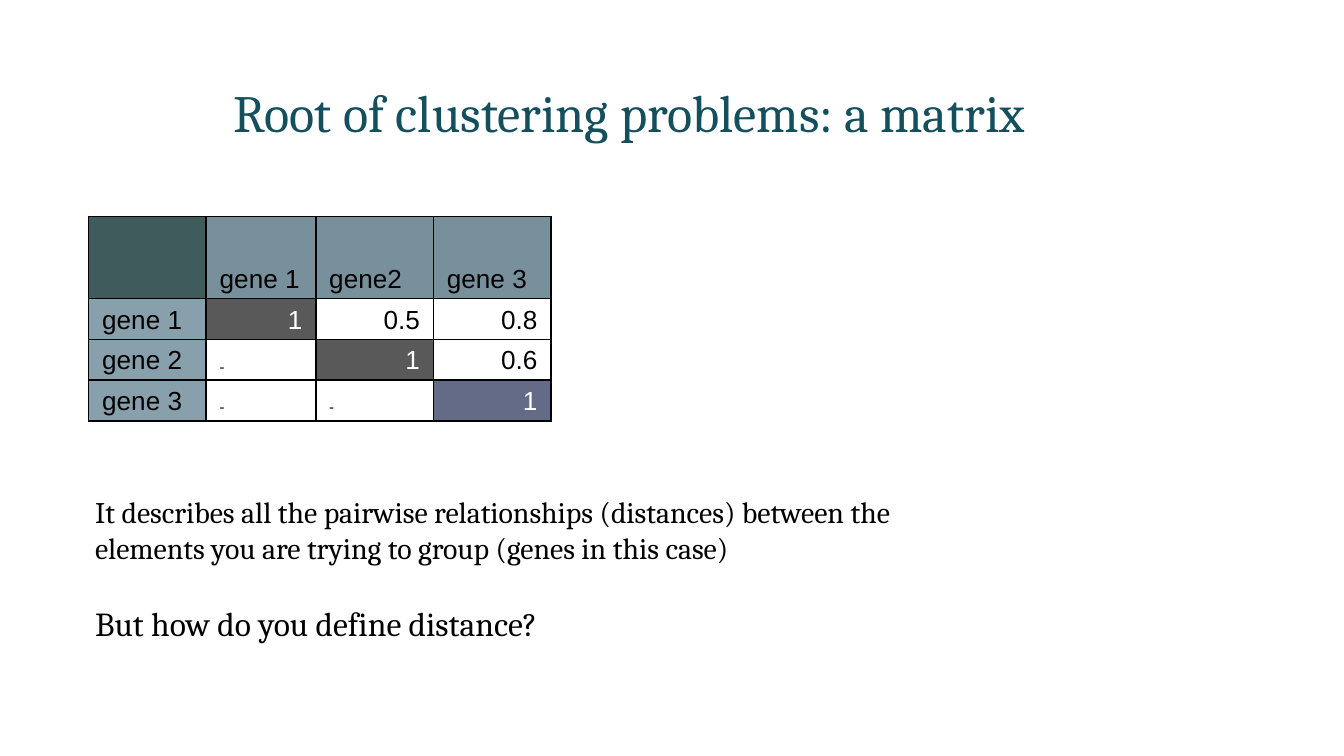
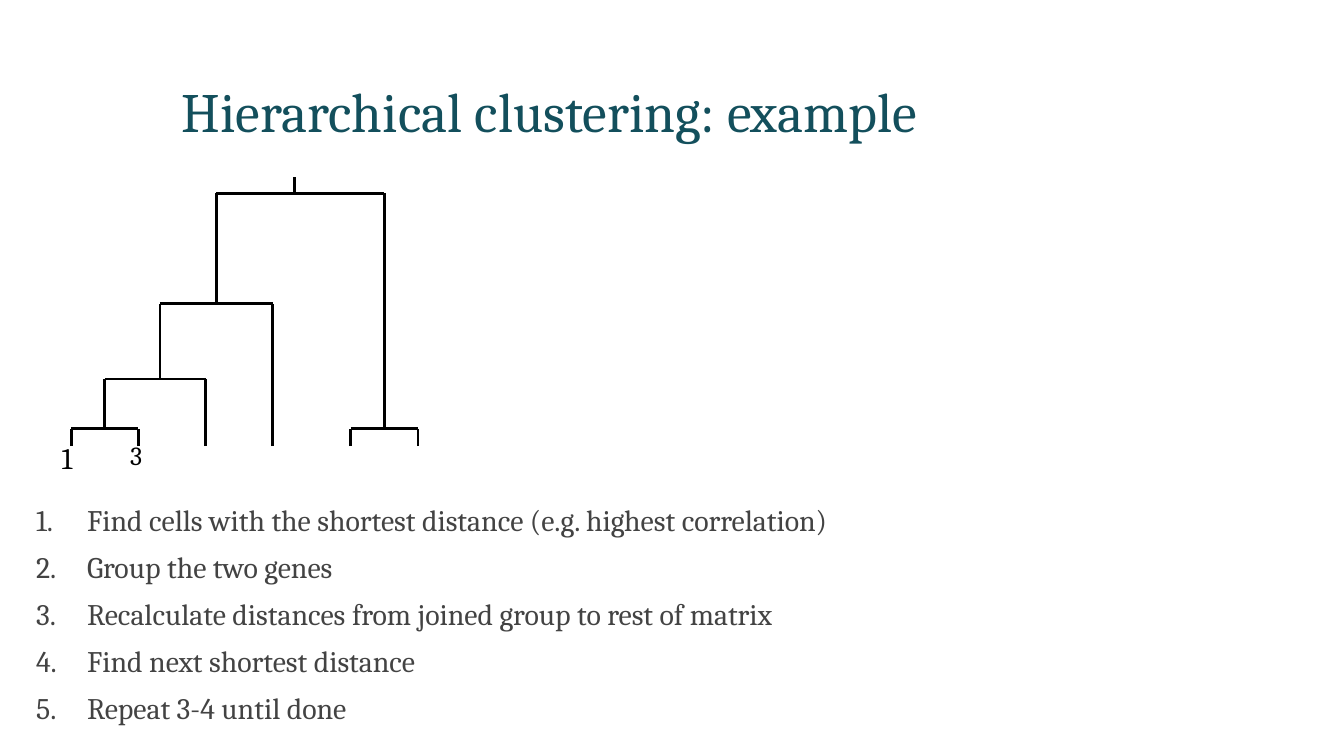
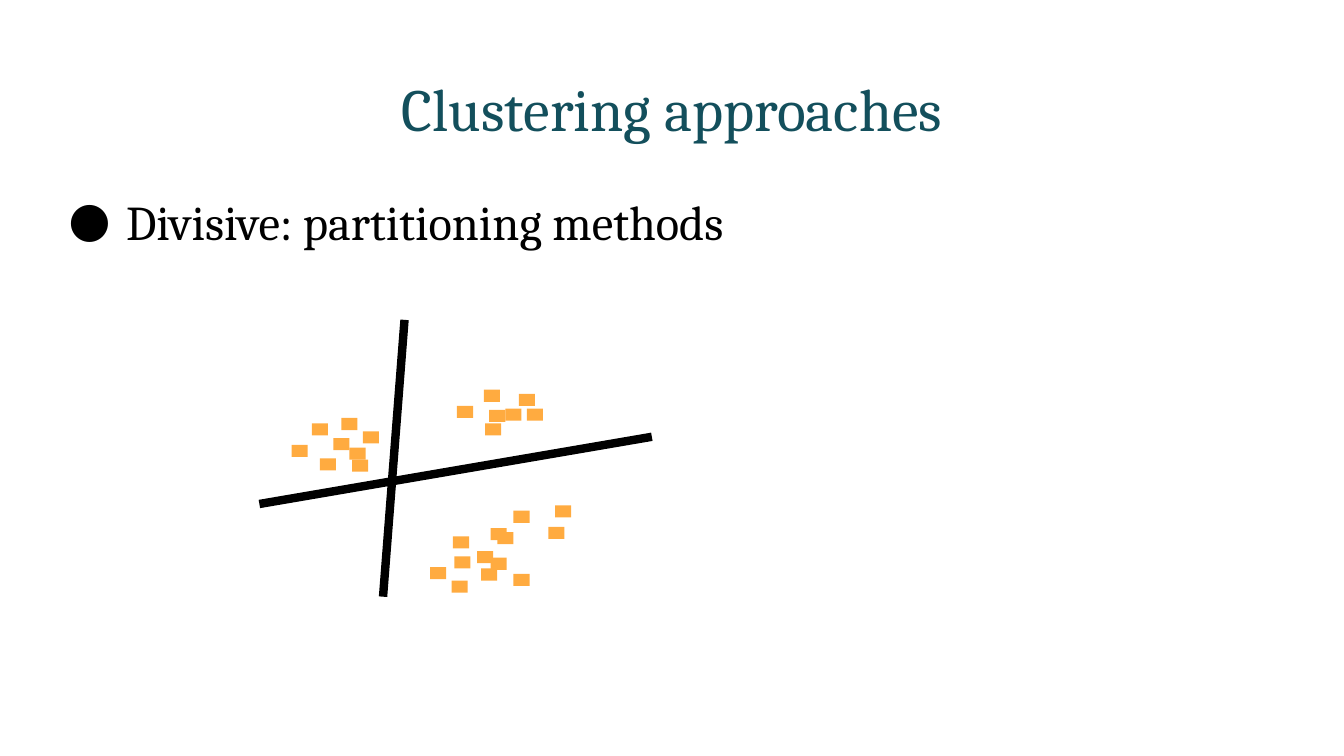
"""Build three slides on clustering: distance matrix, dendrogram and partitioning."""
from dataclasses import dataclass

from lxml.etree import SubElement
from pptx import Presentation
from pptx.dml.color import RGBColor
from pptx.enum.shapes import MSO_CONNECTOR, MSO_SHAPE
from pptx.enum.text import MSO_ANCHOR, PP_ALIGN
from pptx.oxml.ns import qn
from pptx.util import Inches, Pt

LEFT, CENTER, RIGHT = PP_ALIGN.LEFT, PP_ALIGN.CENTER, PP_ALIGN.RIGHT
TOP, BOTTOM = MSO_ANCHOR.TOP, MSO_ANCHOR.BOTTOM
STRAIGHT, RECTANGLE = MSO_CONNECTOR.STRAIGHT, MSO_SHAPE.RECTANGLE


@dataclass(frozen=True)
class Theme:
    serif: str = "Cambria"
    sans: str = "Arial"
    title: str = "134F5C"
    ink: str = "000000"
    grey: str = "434343"
    white: str = "FFFFFF"
    corner: str = "405B5C"
    header: str = "78909C"
    side: str = "88A0AC"
    diagonal: str = "595959"
    last: str = "646B86"
    dot: str = "FFAB40"
    lead: float = 26
    question: float = 18
    body: float = 16
    cell: float = 14
    dash: float = 8


theme = Theme()
deck = Presentation()
deck.slide_width = Inches(10)
deck.slide_height = deck.slide_width * 9 // 16
UNIT = deck.slide_width // 100


def add_text(page, area, lines, size, color=theme.ink, align=LEFT, anchor=TOP,
             bullet=None, indent=0, hang=0, before=0):
    box = page.shapes.add_textbox(*[int(n * UNIT) for n in area])
    frame = box.text_frame
    frame.word_wrap = True
    frame.vertical_anchor = anchor
    frame.text = "\n".join(lines)
    for para in frame.paragraphs:
        para.alignment = align
        para.space_before = Pt(before)
        if bullet:
            properties = para._p.get_or_add_pPr()
            properties.set("marL", str(int(indent * UNIT)))
            properties.set("indent", str(int(-hang * UNIT)))
            SubElement(SubElement(properties, qn("a:buClr")), qn("a:srgbClr"), val=color)
            SubElement(properties, qn("a:buFont"), typeface=theme.serif)
            tag, attribute, value = bullet
            SubElement(properties, qn(tag), {attribute: value})
        para.font.name = theme.serif
        para.font.size = Pt(size)
        para.font.color.rgb = RGBColor.from_string(color)
    return frame


def add_line(page, start, end, width):
    line = page.shapes.add_connector(STRAIGHT, *[int(n * UNIT) for n in start + end])
    line.line.color.rgb = RGBColor.from_string(theme.ink)
    line.line.width = Pt(width)
    SubElement(line._element.spPr, qn("a:effectLst"))


titles = [
    ("Root of clustering problems: a matrix", (-0.75, 5.5, 95.1, 5.7), 28, TOP),
    ("Hierarchical clustering: example", (-5.7, 4.85, 93.2, 6.3), 29.7, BOTTOM),
    ("Clustering approaches", (3.4, 4.85, 93.2, 6.3), 32, BOTTOM),
]
pages = []
for title, area, size, anchor in titles:
    page = deck.slides.add_slide(deck.slide_layouts[6])
    add_text(page, area, [title], size, theme.title, CENTER, anchor)
    pages.append(page)
matrix_page, tree_page, partition_page = pages

matrix = [
    ["", "gene 1", "gene2", "gene 3"],
    ["gene 1", "1", "0.5", "0.8"],
    ["gene 2", "-", "1", "0.6"],
    ["gene 3", "-", "-", "1"],
]
column_widths = [8.75, 8.15, 8.75, 8.75]
row_heights = [6.12, 3.02, 3.02, 3.02]
table = matrix_page.shapes.add_table(
    4, 4, int(6.6 * UNIT), int(16.1 * UNIT),
    int(sum(column_widths) * UNIT), int(sum(row_heights) * UNIT)).table
table.first_row = table.horz_banding = False
for index in range(4):
    table.columns[index].width = int(column_widths[index] * UNIT)
    table.rows[index].height = int(row_heights[index] * UNIT)
for row, values in enumerate(matrix):
    for column, value in enumerate(values):
        cell = table.cell(row, column)
        on_diagonal = row == column > 0
        if row == 0:
            fill = theme.header if column else theme.corner
        elif column == 0:
            fill = theme.side
        elif on_diagonal:
            fill = theme.last if row == 3 else theme.diagonal
        else:
            fill = None
        properties = cell._tc.get_or_add_tcPr()
        for side in ("a:lnL", "a:lnR", "a:lnT", "a:lnB"):
            border = SubElement(properties, qn(side), w=str(Pt(1)))
            SubElement(SubElement(border, qn("a:solidFill")), qn("a:srgbClr"), val=theme.ink)
        if fill:
            cell.fill.solid()
            cell.fill.fore_color.rgb = RGBColor.from_string(fill)
        else:
            cell.fill.background()
        cell.vertical_anchor = BOTTOM
        cell.margin_top = cell.margin_bottom = Pt(2.5)
        cell.text = value
        para = cell.text_frame.paragraphs[0]
        para.alignment = RIGHT if row and column >= row else LEFT
        para.font.name = theme.sans
        para.font.size = Pt(theme.dash if value == "-" else theme.cell)
        para.font.color.rgb = RGBColor.from_string(theme.white if on_diagonal else theme.ink)

add_text(matrix_page, (6.1, 36.25, 63.3, 6.4),
         ["It describes all the pairwise relationships (distances) between the "
          "elements you are trying to group (genes in this case)"], theme.body)
add_text(matrix_page, (6.1, 44.4, 77.5, 4), ["But how do you define distance?"], theme.question)

leaf = 33.2
merges = [
    (31.9, (5.3, leaf), (10.3, leaf)),
    (31.9, (26.1, leaf), (31.1, leaf)),
    (28.2, (7.8, 31.9), (15.3, leaf)),
    (22.6, (11.9, 28.2), (20.3, leaf)),
    (14.4, (16.1, 22.6), (28.6, 31.9)),
]
for height, left, right in merges:
    corners = (left[0], height), (right[0], height)
    add_line(tree_page, left, corners[0], 1.5)
    add_line(tree_page, right, corners[1], 1.5)
    add_line(tree_page, *corners, 1.5)
add_line(tree_page, (21.9, 14.4), (21.9, 13.2), 1.5)
for gene, left, size in [("1", 3.6, theme.body), ("3", 8.7, theme.cell)]:
    add_text(tree_page, (left, 32.2, 4.2, 3.7), [gene], size)

steps = [
    "Find cells with the shortest distance (e.g. highest correlation)",
    "Group the two genes",
    "Recalculate distances from joined group to rest of matrix",
    "Find next shortest distance",
    "Repeat 3-4 until done",
]
step_frame = add_text(tree_page, (1.7, 36.85, 67.8, 18.3), steps, theme.body, theme.grey,
                      bullet=("a:buAutoNum", "type", "arabicPeriod"),
                      indent=3.8, hang=3.8, before=6)
step_frame.paragraphs[0].space_before = Pt(0)

clusters = [
    [(23.2, 31.5), (25.4, 31.1), (24.8, 32.6), (21.7, 33.1),
     (23.8, 34.1), (27, 32.1), (26.2, 34.2), (26, 33.3)],
    [(34, 30.2), (36.1, 31.5), (36.4, 30.5), (36, 29),
     (37.6, 30.4), (39.2, 30.4), (38.6, 29.3)],
    [(33.6, 43.2), (32, 42.2), (33.8, 41.4), (35.8, 42.3), (33.7, 39.9),
     (35.5, 41), (37, 39.6), (41.3, 37.6), (36.5, 39.3), (38.2, 38),
     (36.5, 41.5), (40.8, 39.2), (38.2, 42.7)],
]
for cluster in clusters:
    for left, top in cluster:
        dot = partition_page.shapes.add_shape(
            RECTANGLE, *[int(n * UNIT) for n in (left, top, 1.2, 0.9)])
        dot.shadow.inherit = False
        dot.fill.solid()
        dot.fill.fore_color.rgb = RGBColor.from_string(theme.dot)
        dot.line.fill.background()
add_line(partition_page, (30.1, 23.8), (28.5, 44.4), 4.5)
add_line(partition_page, (19.3, 37.5), (48.5, 32.5), 4.5)
lead_frame = add_text(partition_page, (3.4, 13.15, 93.2, 36.4),
                      ["Divisive: partitioning methods"], theme.lead,
                      bullet=("a:buChar", "char", "●"), indent=5, hang=4.3, before=6)
lead_frame.paragraphs[0].line_spacing = 1.15

deck.save("out.pptx")
